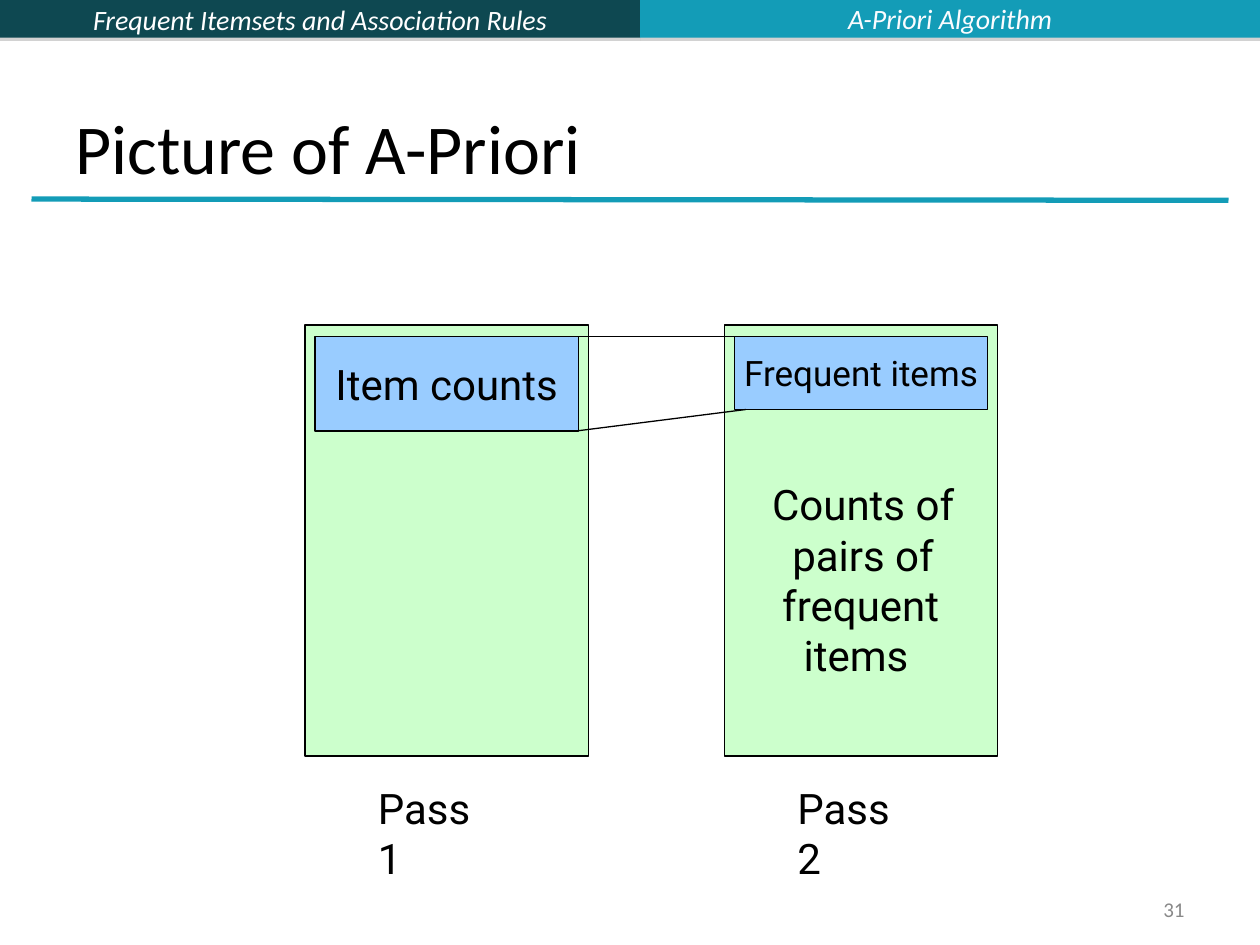
from dataclasses import dataclass

from lxml import etree
from pptx import Presentation
from pptx.dml.color import RGBColor
from pptx.enum.shapes import MSO_CONNECTOR, MSO_SHAPE
from pptx.enum.text import MSO_ANCHOR, PP_ALIGN
from pptx.oxml import parse_xml
from pptx.oxml.ns import nsdecls, qn
from pptx.util import Inches, Pt

RECTANGLE = MSO_SHAPE.RECTANGLE
STRAIGHT = MSO_CONNECTOR.STRAIGHT
LEFT, CENTER, RIGHT = PP_ALIGN.LEFT, PP_ALIGN.CENTER, PP_ALIGN.RIGHT
TOP, MIDDLE, BOTTOM = MSO_ANCHOR.TOP, MSO_ANCHOR.MIDDLE, MSO_ANCHOR.BOTTOM


@dataclass(frozen=True)
class Theme:
    heading_font: str = "Calibri"
    diagram_font: str = "Roboto"
    dark_teal: str = "0E4851"
    teal: str = "139CB7"
    memory: str = "CCFFCC"
    table: str = "99CCFF"
    ink: str = "000000"
    white: str = "FFFFFF"
    topic: str = "FBFCFF"
    muted: str = "898989"
    title_size: int = 40
    body_size: int = 24
    small_size: int = 20
    header_size: int = 16
    number_size: int = 12


THEME = Theme()


def inches(box):
    return [Inches(value) for value in box]


def write(shape, lines, size, font=THEME.diagram_font, color=THEME.ink,
          align=LEFT, anchor=TOP, italic=False, wrap=True, indents=()):
    """Fill a shape with one paragraph per line; indents are in inches."""
    frame = shape.text_frame
    frame.text = "\n".join(lines)
    frame.word_wrap = wrap
    frame.vertical_anchor = anchor
    for paragraph in frame.paragraphs:
        paragraph.alignment = align
        paragraph.font.name = font
        paragraph.font.size = Pt(size)
        paragraph.font.italic = italic
        paragraph.font.color.rgb = RGBColor.from_string(color)
    for paragraph, indent in zip(frame.paragraphs, indents):
        paragraph._p.get_or_add_pPr().set("marL", str(Inches(indent)))


def add_text(slide, box, lines, size, **style):
    write(slide.shapes.add_textbox(*inches(box)), lines, size, **style)


def add_rectangle(slide, box, fill, outlined=True):
    shape = slide.shapes.add_shape(RECTANGLE, *inches(box))
    shape.shadow.inherit = False
    shape.fill.solid()
    shape.fill.fore_color.rgb = RGBColor.from_string(fill)
    if outlined:
        shape.line.color.rgb = RGBColor.from_string(THEME.ink)
        shape.line.width = Pt(0.75)
    else:
        shape.line.fill.background()
    return shape


def add_line(slide, start, end, color=THEME.ink, width=0.75):
    line = slide.shapes.add_connector(STRAIGHT, *inches(start + end))
    line.line.color.rgb = RGBColor.from_string(color)
    line.line.width = Pt(width)
    etree.SubElement(line._element.spPr, qn("a:effectLst"))


def add_header_bar(slide, box, fill):
    bar = add_rectangle(slide, box, fill, outlined=False)
    effects = bar._element.spPr.find(qn("a:effectLst"))
    effects.append(parse_xml(
        f'<a:outerShdw {nsdecls("a")} dist="{Pt(1.8)}" dir="5400000" rotWithShape="0">'
        '<a:srgbClr val="808080"><a:alpha val="35000"/></a:srgbClr></a:outerShdw>'))
    return bar


def add_header(slide, box, section, topic):
    left, top, width, height = box
    split = 5.08
    section_bar = add_header_bar(slide, (left, top, split, height), THEME.dark_teal)
    write(section_bar, [section], THEME.header_size, font=THEME.heading_font,
          color=THEME.white, align=CENTER, anchor=MIDDLE, italic=True)
    add_header_bar(slide, (left + split, top, width - split, height), THEME.teal)
    add_text(slide, (left + split, top - 0.04, width - split, 0.37), [topic],
             THEME.header_size, font=THEME.heading_font, color=THEME.topic,
             align=CENTER, anchor=MIDDLE, italic=True)


def add_title(slide, box, text):
    title = slide.shapes.title
    title.left, title.top, title.width, title.height = inches(box)
    write(title, [text], THEME.title_size, font=THEME.heading_font, anchor=BOTTOM)
    add_line(slide, (0.25, 1.58), (9.75, 1.59), THEME.teal, 3)


def add_pass(slide, box, table_height, table_text, table_size, label, label_offset):
    """Draw the main memory of one pass, with its table on top and label below."""
    left, top, width, height = box
    margin = 0.08
    add_rectangle(slide, box, THEME.memory)
    table = add_rectangle(
        slide, (left + margin, top + 0.09, width - 2 * margin, table_height), THEME.table)
    write(table, [table_text], table_size, align=CENTER, anchor=MIDDLE, wrap=False)
    add_text(slide, (left + label_offset, top + height + 0.16, 1.12, 0.9),
             label.split(), THEME.body_size)


def add_diagram(slide, box):
    left, top, width, height = box
    first_width, second_width = 2.25, 2.17
    second_left = left + width - second_width
    add_pass(slide, (left, top, first_width, height), 0.75, "Item counts",
             THEME.body_size, "Pass 1", 0.48)
    add_pass(slide, (second_left, top, second_width, height), 0.58, "Frequent items",
             THEME.small_size, "Pass 2", 0.48)
    add_text(slide, (second_left + 0.28, top + 1.17, 1.71, 1.7),
             ["Counts of", "pairs of", "frequent", "items"],
             THEME.body_size, indents=(0, 0.16, 0.08, 0.25))
    table_right, table_top = left + first_width - 0.09, top + 0.09
    add_line(slide, (table_right, table_top), (second_left + 0.08, table_top))
    add_line(slide, (table_right, table_top + 0.75),
             (second_left + 0.17, table_top + 0.58))


def main():
    presentation = Presentation()
    presentation.slide_width = Inches(10)
    presentation.slide_height = Inches(7.5)
    slide = presentation.slides.add_slide(presentation.slide_layouts[5])
    add_header(slide, (0, 0, 10, 0.3), "Frequent Itemsets and Association Rules",
               "A-Priori Algorithm")
    add_title(slide, (0.5, 0.3, 9, 1.25), "Picture of A-Priori")
    add_diagram(slide, (2.42, 2.58, 5.5, 3.42))
    add_text(slide, (7.17, 7.08, 2.33, 0.27), ["31"], THEME.number_size,
             font=THEME.heading_font, color=THEME.muted, align=RIGHT, anchor=MIDDLE)
    presentation.save("out.pptx")


if __name__ == "__main__":
    main()
